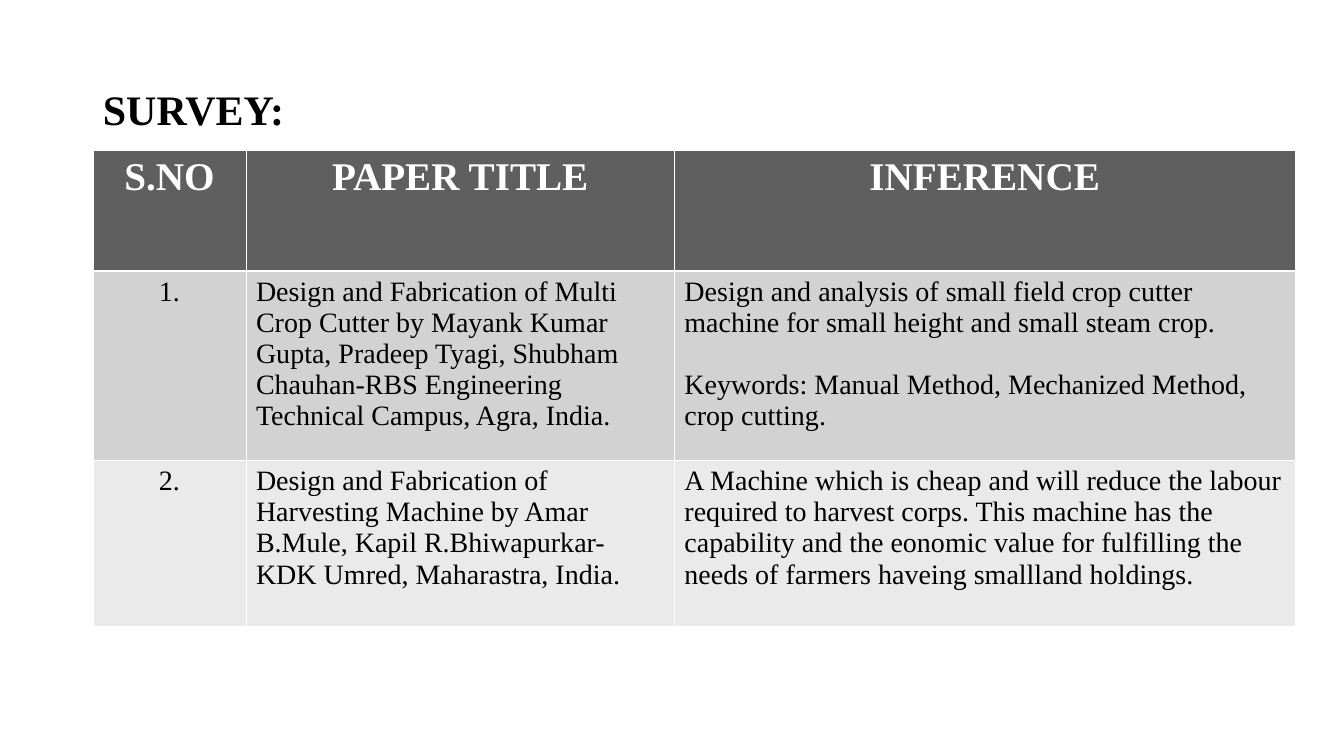
from dataclasses import dataclass

from lxml import etree
from pptx import Presentation
from pptx import util as u
from pptx.dml import color
from pptx.enum import text
from pptx.oxml import ns


@dataclass(frozen=True)
class Theme:
    font: str = "Times New Roman"
    title_size: float = 30
    header_size: float = 28
    body_size: float = 20
    paragraph_gap: float = 22.3
    thin_line: float = 0.45
    thick_line: float = 1.47
    ink: str = "000000"
    white: str = "FFFFFF"
    header_fill: str = "5F5F5F"
    band_fills: tuple = ("D2D2D2", "EAEAEA")


THEME = Theme()

COLUMN_WIDTHS = (3.86, 10.8, 15.64)
ROW_HEIGHTS = (3.05, 4.78, 4.17)

# Each cell holds a list of paragraphs
SURVEY = [
    [["S.NO"], ["PAPER TITLE"], ["INFERENCE"]],
    [
        ["1."],
        ["Design and Fabrication of Multi Crop Cutter by Mayank Kumar Gupta, "
         "Pradeep Tyagi, Shubham Chauhan-RBS Engineering Technical Campus, Agra, India."],
        ["Design and analysis of small field crop cutter machine for small height "
         "and small steam crop.",
         "Keywords: Manual Method, Mechanized Method, crop cutting."],
    ],
    [
        ["2."],
        ["Design and Fabrication of Harvesting Machine by Amar B.Mule, "
         "Kapil R.Bhiwapurkar-KDK Umred, Maharastra, India."],
        ["A Machine which is cheap and will reduce the labour required to harvest "
         "corps. This machine has the capability and the eonomic value for fulfilling "
         "the needs of farmers haveing smallland holdings."],
    ],
]


def format_paragraph(paragraph, size, ink, bold=False, centred=False):
    font = paragraph.font
    font.name = THEME.font
    font.size = u.Pt(size)
    font.bold = bold
    font.color.rgb = color.RGBColor.from_string(ink)
    paragraph.alignment = text.PP_ALIGN.CENTER if centred else text.PP_ALIGN.LEFT


def add_title(slide, wording):
    title = slide.shapes.title
    title.left, title.top = u.Cm(2.34), u.Cm(1.02)
    title.width, title.height = u.Cm(29.21), u.Cm(2.49)
    frame = title.text_frame
    frame.text = wording
    frame.auto_size = text.MSO_AUTO_SIZE.NONE
    frame.vertical_anchor = text.MSO_ANCHOR.BOTTOM
    format_paragraph(frame.paragraphs[0], THEME.title_size, THEME.ink, bold=True)


def set_borders(cell, top, bottom):
    properties = cell._tc.get_or_add_tcPr()
    widths = {"L": THEME.thin_line, "R": THEME.thin_line, "T": top, "B": bottom}
    for side, width in widths.items():
        line = etree.SubElement(properties, ns.qn(f"a:ln{side}"), w=str(u.Pt(width)))
        fill = etree.SubElement(line, ns.qn("a:solidFill"))
        etree.SubElement(fill, ns.qn("a:srgbClr"), val=THEME.white)


def fill_cell(cell, paragraphs, row, column):
    is_header = row == 0
    # Borders: a thicker rule divides the header from the body
    set_borders(
        cell,
        top=THEME.thick_line if row == 1 else THEME.thin_line,
        bottom=THEME.thick_line if is_header else THEME.thin_line,
    )
    # Background
    background = THEME.header_fill if is_header else THEME.band_fills[(row - 1) % 2]
    cell.fill.solid()
    cell.fill.fore_color.rgb = color.RGBColor.from_string(background)
    # Text
    cell.text = "\n".join(paragraphs)
    for index, paragraph in enumerate(cell.text_frame.paragraphs):
        format_paragraph(
            paragraph,
            THEME.header_size if is_header else THEME.body_size,
            THEME.white if is_header else THEME.ink,
            bold=is_header,
            centred=is_header or column == 0,
        )
        if index:
            paragraph.space_before = u.Pt(THEME.paragraph_gap)


def add_survey_table(slide):
    table = slide.shapes.add_table(
        len(SURVEY), len(COLUMN_WIDTHS), u.Cm(2.34), u.Cm(3.78),
        u.Cm(sum(COLUMN_WIDTHS)), u.Cm(sum(ROW_HEIGHTS)),
    ).table
    for column, width in zip(table.columns, COLUMN_WIDTHS):
        column.width = u.Cm(width)
    for row, height in zip(table.rows, ROW_HEIGHTS):
        row.height = u.Cm(height)
    for row, cells in enumerate(SURVEY):
        for column, paragraphs in enumerate(cells):
            fill_cell(table.cell(row, column), paragraphs, row, column)


def main():
    presentation = Presentation()
    presentation.slide_width, presentation.slide_height = u.Cm(33.88), u.Cm(19.05)
    slide = presentation.slides.add_slide(presentation.slide_layouts[5])
    add_title(slide, "SURVEY:")
    add_survey_table(slide)
    presentation.save("out.pptx")


if __name__ == "__main__":
    main()
